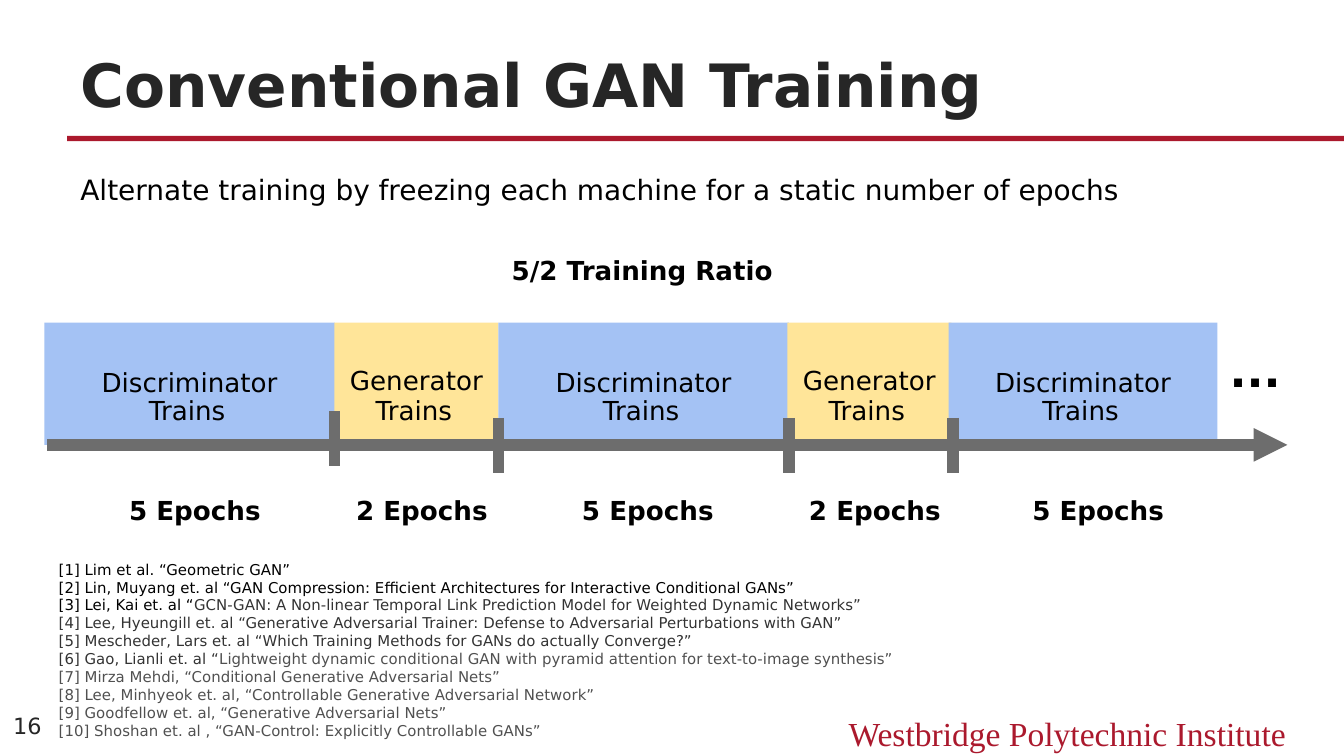
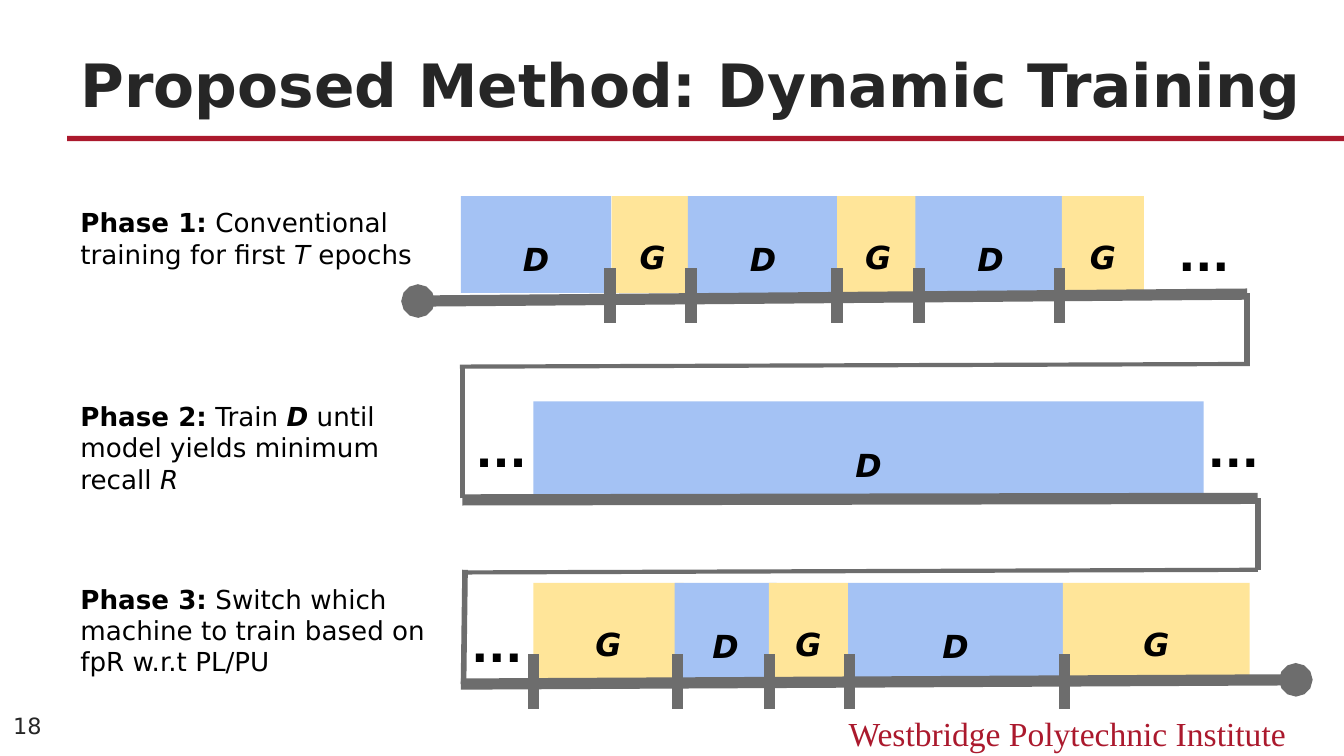
from lxml.etree import SubElement
from pptx import Presentation
from pptx.dml.color import RGBColor
from pptx.enum.shapes import MSO_CONNECTOR as Connector, MSO_SHAPE as Shape
from pptx.enum.text import MSO_ANCHOR as Anchor, PP_ALIGN as Align
from pptx.oxml.ns import qn
from pptx.util import Cm, Pt

FONT, FOOTER_FONT = "DejaVu Sans", "Times New Roman"
RED, INK, BLACK, AXIS = "AB192D", "262626", "000000", "6D6D6D"
DARK, MID = "333333", "505050"
MACHINE_FILLS = {"D": "A4C2F4", "G": "FFE599"}
MACHINE_NAMES = {"D": "Discriminator", "G": "Generator"}
LABEL_INSETS = {"D": 0.83, "G": 0.79}
INSTITUTE = "Westbridge Polytechnic Institute"
TICK_HEIGHT = 1.04

CONVENTIONAL = {
    "title": "Conventional GAN Training",
    "title_width": 22.86,
    "page": "16",
    "lead": "Alternate training by freezing each machine for a static number of epochs",
    "ratio": "5/2 Training Ratio",
    "blocks": [
        ("D", 0.84, 5.49, "5 Epochs", 3.58),
        ("G", 6.32, 3.1, "2 Epochs", 7.87),
        ("D", 9.42, 5.49, "5 Epochs", 12.14),
        ("G", 14.88, 3.1, "2 Epochs", 16.43),
        ("D", 17.93, 5.08, "5 Epochs", 20.65),
    ],
    "ticks": [(6.32, 7.77), (9.42, 7.9), (14.91, 7.9), (18.01, 7.9)],
    "references": [
        [("[1] Lim et al. “Geometric GAN”", "", BLACK)],
        [("[2] Lin, Muyang et. al “GAN Compression: Efficient Architectures "
          "for Interactive Conditional GANs”", "", BLACK)],
        [("[3] Lei, Kai et. al “", "", BLACK),
         ("GCN-GAN: A Non-linear Temporal Link Prediction Model for Weighted "
          "Dynamic Networks”", "", DARK)],
        [("[4] Lee, Hyeungill et. al “Generative Adversarial Trainer: Defense "
          "to Adversarial Perturbations with GAN”", "", DARK)],
        [("[5] Mescheder, Lars et. al “Which Training Methods for GANs do "
          "actually Converge?”", "", DARK)],
        [("[6] Gao, Lianli et. al “", "", DARK),
         ("Lightweight dynamic conditional GAN with pyramid attention for "
          "text-to-image synthesis”", "", MID)],
        [("[7] Mirza Mehdi, “Conditional Generative Adversarial Nets”", "", MID)],
        [("[8] Lee, Minhyeok et. al, “Controllable Generative Adversarial "
          "Network”", "", MID)],
        [("[9] Goodfellow et. al, “Generative Adversarial Nets”", "", MID)],
        [("[10] Shoshan et. al , “GAN-Control: Explicitly Controllable GANs”",
          "", MID)],
    ],
}

DYNAMIC = {
    "title": "Proposed Method: Dynamic Training",
    "title_width": 24.13,
    "page": "18",
    "phases": [
        {
            "text": [("Phase 1:", "b"), (" Conventional training for first ", ""),
                     ("T ", "i"), ("epochs", "")],
            "text_box": (3.66, 1.7),
            "row": (3.71, 1.83),
            "blocks": [("D", 8.71, 2.84), ("G", 11.56, 1.55), ("D", 13, 2.84),
                       ("G", 15.82, 1.55), ("D", 17.3, 2.84), ("G", 20.07, 1.55)],
            "axis": (7.9, 5.69, 23.57, 5.56),
            "ends": {"headEnd": "oval"},
            "ticks": (5.07, [11.53, 13.06, 15.82, 17.37, 20.02]),
            "dots": [(22.02, 4.04)],
            "links": [],
        },
        {
            "text": [("Phase 2:", "b"), (" Train ", ""), ("D", "bi"),
                     (" until model yields minimum recall ", ""), ("R", "i")],
            "text_box": (7.32, 2.31),
            "row": (7.59, 1.93),
            "blocks": [("D", 10.08, 12.67)],
            "axis": (8.74, 9.45, 23.77, 9.42),
            "ends": {},
            "ticks": (0, []),
            "dots": [(8.74, 7.75), (22.58, 7.75)],
            "links": [(8.74, 9.42, 8.74, 6.96, 2.25), (23.62, 6.88, 8.69, 6.93, 2.25),
                      (23.57, 6.88, 23.57, 5.54, 3)],
        },
        {
            "text": [("Phase 3:", "b"),
                     (" Switch which machine to train based on fpR w.r.t PL/PU", "")],
            "text_box": (10.77, 2.31),
            "row": (11.02, 1.83),
            "blocks": [("G", 10.08, 2.84), ("D", 12.75, 1.93), ("G", 14.53, 1.5),
                       ("D", 16.03, 4.06), ("G", 20.09, 3.53)],
            "axis": (8.71, 12.93, 24.49, 12.85),
            "ends": {"tailEnd": "oval"},
            "ticks": (12.37, [10.08, 12.8, 14.55, 16.05, 20.12]),
            "dots": [(8.66, 11.43)],
            "links": [(23.77, 10.77, 8.84, 10.82, 2.25), (23.77, 10.77, 23.77, 9.42, 3),
                      (8.76, 12.93, 8.79, 10.77, 3)],
        },
    ],
}


def rgb(value):
    return RGBColor.from_string(value)


def write(frame, paragraphs, size, color=BLACK, style="", align=Align.LEFT,
          font=FONT, anchor=Anchor.TOP, inset=0.25, top_inset=None):
    frame.word_wrap = True
    frame.vertical_anchor = anchor
    frame.margin_left = frame.margin_right = Cm(0.25)
    frame.margin_top = Cm(inset if top_inset is None else top_inset)
    frame.margin_bottom = Cm(inset)
    if isinstance(paragraphs, str):
        paragraphs = [[(paragraphs, style)]]
    for index, runs in enumerate(paragraphs):
        paragraph = frame.add_paragraph() if index else frame.paragraphs[0]
        paragraph.alignment = align
        paragraph.font.name = font
        paragraph.font.size = Pt(size)
        styles = {run_style for _, run_style, *_ in runs}
        colors = {tint[0] if tint else color for _, _, *tint in runs}
        if len(styles) == 1:
            paragraph.font.bold = "b" in runs[0][1]
            paragraph.font.italic = "i" in runs[0][1]
        if len(colors) == 1:
            paragraph.font.color.rgb = rgb(min(colors))
        for text, run_style, *tint in runs:
            run = paragraph.add_run()
            run.text = text
            if len(styles) > 1:
                run.font.bold = "b" in run_style
                run.font.italic = "i" in run_style
            if len(colors) > 1:
                run.font.color.rgb = rgb(tint[0])


def add_text(shapes, box, paragraphs, size, **options):
    frame = shapes.add_textbox(*map(Cm, box)).text_frame
    write(frame, paragraphs, size, **options)
    return frame


def add_rect(shapes, box, fill):
    rect = shapes.add_shape(Shape.RECTANGLE, *map(Cm, box))
    rect.shadow.inherit = False
    rect.fill.solid()
    rect.fill.fore_color.rgb = rgb(fill)
    rect.line.fill.background()
    return rect


def add_block(shapes, machine, box, label, size, style=""):
    block = add_rect(shapes, box, MACHINE_FILLS[machine])
    write(block.text_frame, label, size, style=style, align=Align.CENTER,
          top_inset=LABEL_INSETS[machine])


def add_line(shapes, points, width=6, ends=None):
    line = shapes.add_connector(Connector.STRAIGHT, *map(Cm, points))
    line.line.width = Pt(width)
    line.line.color.rgb = rgb(AXIS)
    properties = line._element.spPr
    for end, kind in (ends or {}).items():
        SubElement(properties.find(qn("a:ln")), qn(f"a:{end}"), type=kind)
    SubElement(properties, qn("a:effectLst"))


def add_tick(shapes, x, top):
    add_line(shapes, (x, top, x, top + TICK_HEIGHT))


def add_dots(shapes, left, top):
    add_text(shapes, (left, top, 1.55, 1.22), "...", 24, style="b")


def start_slide(deck, content):
    slide = deck.slides.add_slide(deck.slide_layouts[5])
    shapes = slide.shapes
    add_rect(shapes, (1.27, 2.57, 24.13, 0.1), RED)
    add_text(shapes, (15.24, 13.34, 9.32, 0.76), INSTITUTE, 18, color=RED,
             font=FOOTER_FONT, align=Align.RIGHT, inset=0.13)
    title = shapes.title
    title.left, title.top = Cm(1.27), Cm(0.71)
    title.width, title.height = Cm(content["title_width"]), Cm(1.68)
    write(title.text_frame, content["title"], 32, color=INK, style="b",
          anchor=Anchor.BOTTOM, inset=0.13)
    add_text(shapes, (0, 13.31, 1.27, 0.81), content["page"], 12, color=INK,
             anchor=Anchor.MIDDLE, inset=0.13)
    return shapes


def build_conventional(deck, content):
    shapes = start_slide(deck, content)
    lead = add_text(shapes, (1.27, 3.18, 22.86, 1.32), content["lead"], 15, inset=0.13)
    lead.paragraphs[0].line_spacing = 0.95
    add_text(shapes, (8.56, 4.55, 7.16, 1.12), content["ratio"], 14, style="b",
             align=Align.CENTER)
    for machine, left, width, epochs, epochs_center in content["blocks"]:
        add_block(shapes, machine, (left, 6.1, width, 2.31), MACHINE_NAMES[machine], 14)
        add_text(shapes, (left + width / 2 - 1.02, 7.21, 2.04, 1.12), "Trains", 14)
        add_text(shapes, (epochs_center - 1.52, 9.1, 3.25, 1.16), epochs, 14,
                 style="b", align=Align.CENTER)
    add_line(shapes, (0.89, 8.41, 24.33, 8.41), ends={"tailEnd": "triangle"})
    for x, top in content["ticks"]:
        add_tick(shapes, x, top)
    add_dots(shapes, 22.99, 6.22)
    add_text(shapes, (0.86, 10.34, 22.63, 3.94), content["references"], 8)


def build_dynamic(deck, content):
    slide_shapes = start_slide(deck, content)
    for phase in content["phases"]:
        shapes = slide_shapes.add_group_shape().shapes
        text_top, text_height = phase["text_box"]
        add_text(shapes, (1.27, text_top, 7.26, text_height), [phase["text"]], 14)
        row_top, row_height = phase["row"]
        for machine, left, width in phase["blocks"]:
            add_block(shapes, machine, (left, row_top, width, row_height), machine, 17, "bi")
        add_line(shapes, phase["axis"], ends=phase["ends"])
        tick_top, ticks = phase["ticks"]
        for x in ticks:
            add_tick(shapes, x, tick_top)
        for *points, width in phase["links"]:
            add_line(shapes, points, width)
        for left, top in phase["dots"]:
            add_dots(shapes, left, top)


def main():
    deck = Presentation()
    deck.slide_width, deck.slide_height = Cm(25.4), Cm(14.29)
    build_conventional(deck, CONVENTIONAL)
    build_dynamic(deck, DYNAMIC)
    deck.save("out.pptx")


if __name__ == "__main__":
    main()
